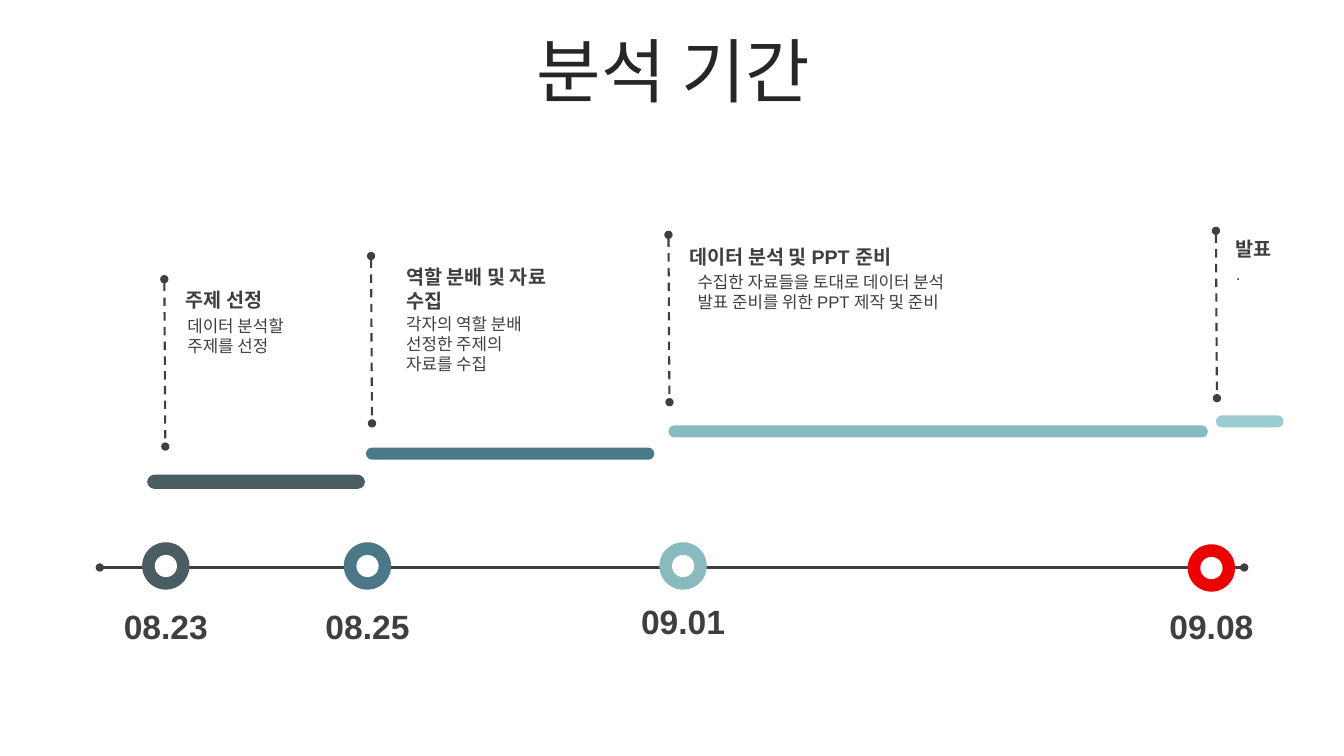
"""Build a one-slide timeline of the analysis period."""
from lxml import etree
from pptx import Presentation, util as u
from pptx.dml.color import RGBColor
from pptx.enum import dml, shapes, text
from pptx.oxml.ns import qn

TITLE = "분석 기간"
INK = "3F3F3F"
AXIS_LEFT, AXIS_RIGHT, AXIS_Y = 0.99, 12.34, 5.63
RING, HOLE = 0.47, 0.22
DATE_WIDTH, DATE_HEIGHT = 1.2, 0.4
LEADER_LEAN, LEADER_HEIGHT = 0.01, 1.66

PHASES = [
    {"date": "08.23", "date_top": 6.01, "ring": (1.41, 5.38, "4A5D62"),
     "bar": (1.46, 4.71, 2.16, 0.14, "4A5D62"), "leader": (1.63, 2.77),
     "heading": ("주제 선정", 1.72, 2.81, 1.73, 0.34),
     "body": (["데이터 분석할", "주제를 선정"], 1.76, 3.08, 1.72, 0.5)},
    {"date": "08.25", "date_top": 6.01, "ring": (3.41, 5.38, "4A7886"),
     "bar": (3.63, 4.44, 2.86, 0.12, "4A7886"), "leader": (3.68, 2.54),
     "heading": ("역할 분배 및 자료 수집", 3.91, 2.58, 1.73, 0.57),
     "body": (["각자의 역할 분배", "선정한 주제의", "자료를 수집"], 3.93, 3.06, 1.72, 0.71)},
    {"date": "09.01", "date_top": 5.96, "ring": (6.54, 5.38, "88BABE"),
     "bar": (6.63, 4.22, 5.35, 0.12, "88BABE"), "leader": (6.63, 2.33),
     "heading": ("데이터 분석 및 PPT 준비", 6.72, 2.38, 5.01, 0.34),
     "body": (["수집한 자료들을 토대로 데이터 분석", "발표 준비를 위한 PPT 제작 및 준비"],
              6.82, 2.65, 4.98, 0.5)},
    {"date": "09.08", "date_top": 6.01, "ring": (11.78, 5.4, "EA0000"),
     "bar": (12.06, 4.12, 0.67, 0.12, "9CCCD2"), "leader": (12.06, 2.29),
     "heading": ("발표", 12.13, 2.3, 1.73, 0.34),
     "body": (["."], 12.16, 2.57, 1.72, 0.3)},
]


def color(value):
    return RGBColor.from_string(value)


def add_text(slide, lines, left, top, width, height, size=12, ink=INK, bold=False,
             align=text.PP_ALIGN.LEFT, anchor=text.MSO_ANCHOR.TOP,
             margins=(0.1, 0.05), spacing=None):
    box = slide.shapes.add_textbox(*map(u.Inches, (left, top, width, height)))
    frame = box.text_frame
    frame.word_wrap = True
    frame.vertical_anchor = anchor
    frame.margin_left = frame.margin_right = u.Inches(margins[0])
    frame.margin_top = frame.margin_bottom = u.Inches(margins[1])
    for index, line in enumerate(lines):
        para = frame.add_paragraph() if index else frame.paragraphs[0]
        para.alignment = align
        if spacing:
            para.line_spacing = spacing
        span = para.add_run()
        span.text = line
        span.font.name = "Arial"
        span.font.size = u.Pt(size)
        span.font.bold = bold
        span.font.color.rgb = color(ink)


def add_solid(slide, kind, left, top, width, height, fill):
    shape = slide.shapes.add_shape(kind, *map(u.Inches, (left, top, width, height)))
    shape.shadow.inherit = False
    shape.fill.solid()
    shape.fill.fore_color.rgb = color(fill)
    shape.line.fill.background()
    return shape


def add_dotted_ends_line(slide, start, end, width, dash=None):
    line = slide.shapes.add_connector(
        shapes.MSO_CONNECTOR.STRAIGHT, *map(u.Inches, (*start, *end)))
    line.line.color.rgb = color(INK)
    line.line.width = u.Pt(width)
    if dash:
        line.line.dash_style = dash
    properties = line.element.spPr
    outline = properties.find(qn("a:ln"))
    for end_name in ("a:headEnd", "a:tailEnd"):
        etree.SubElement(outline, qn(end_name), type="oval")
    etree.SubElement(properties, qn("a:effectLst"))


def add_phase(slide, phase):
    left, top, fill = phase["ring"]
    inset = (RING - HOLE) / 2
    oval = shapes.MSO_SHAPE.OVAL
    add_solid(slide, oval, left, top, RING, RING, fill)
    add_solid(slide, oval, left + inset, top + inset, HOLE, HOLE, "FFFFFF")
    add_text(slide, [phase["date"]], left + (RING - DATE_WIDTH) / 2, phase["date_top"],
             DATE_WIDTH, DATE_HEIGHT, size=24, bold=True,
             align=text.PP_ALIGN.CENTER, margins=(0, 0))

    bar = add_solid(slide, shapes.MSO_SHAPE.ROUNDED_RECTANGLE, *phase["bar"])
    bar.adjustments[0] = 0.5
    lines, *place = phase["body"]
    add_text(slide, lines, *place)
    heading, *place = phase["heading"]
    add_text(slide, [heading], *place, size=14, bold=True, margins=(0.12, 0.05))
    x, y = phase["leader"]
    add_dotted_ends_line(slide, (x, y), (x + LEADER_LEAN, y + LEADER_HEIGHT), 1.5,
                         dash=dml.MSO_LINE.DASH)


def main():
    deck = Presentation()
    deck.slide_width, deck.slide_height = u.Inches(13.33), u.Inches(7.5)
    slide = deck.slides.add_slide(deck.slide_layouts[6])
    add_text(slide, [TITLE], 0.35, 0.37, 12.66, 0.79, size=50, ink="262626",
             align=text.PP_ALIGN.CENTER, anchor=text.MSO_ANCHOR.MIDDLE, spacing=0.8)
    add_dotted_ends_line(slide, (AXIS_LEFT, AXIS_Y), (AXIS_RIGHT, AXIS_Y), 1.75)
    for phase in PHASES:
        add_phase(slide, phase)
    deck.save("out.pptx")


if __name__ == "__main__":
    main()
